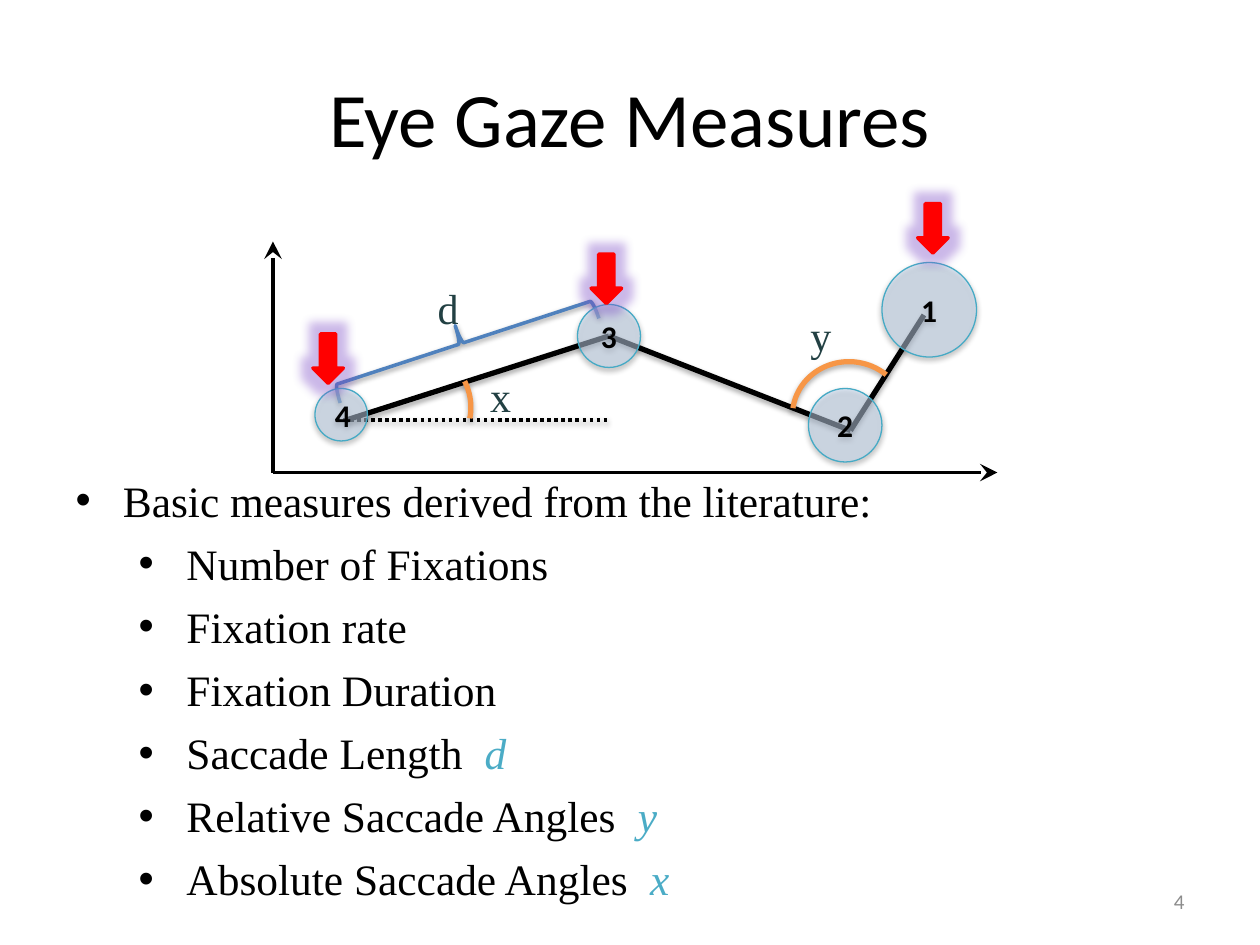
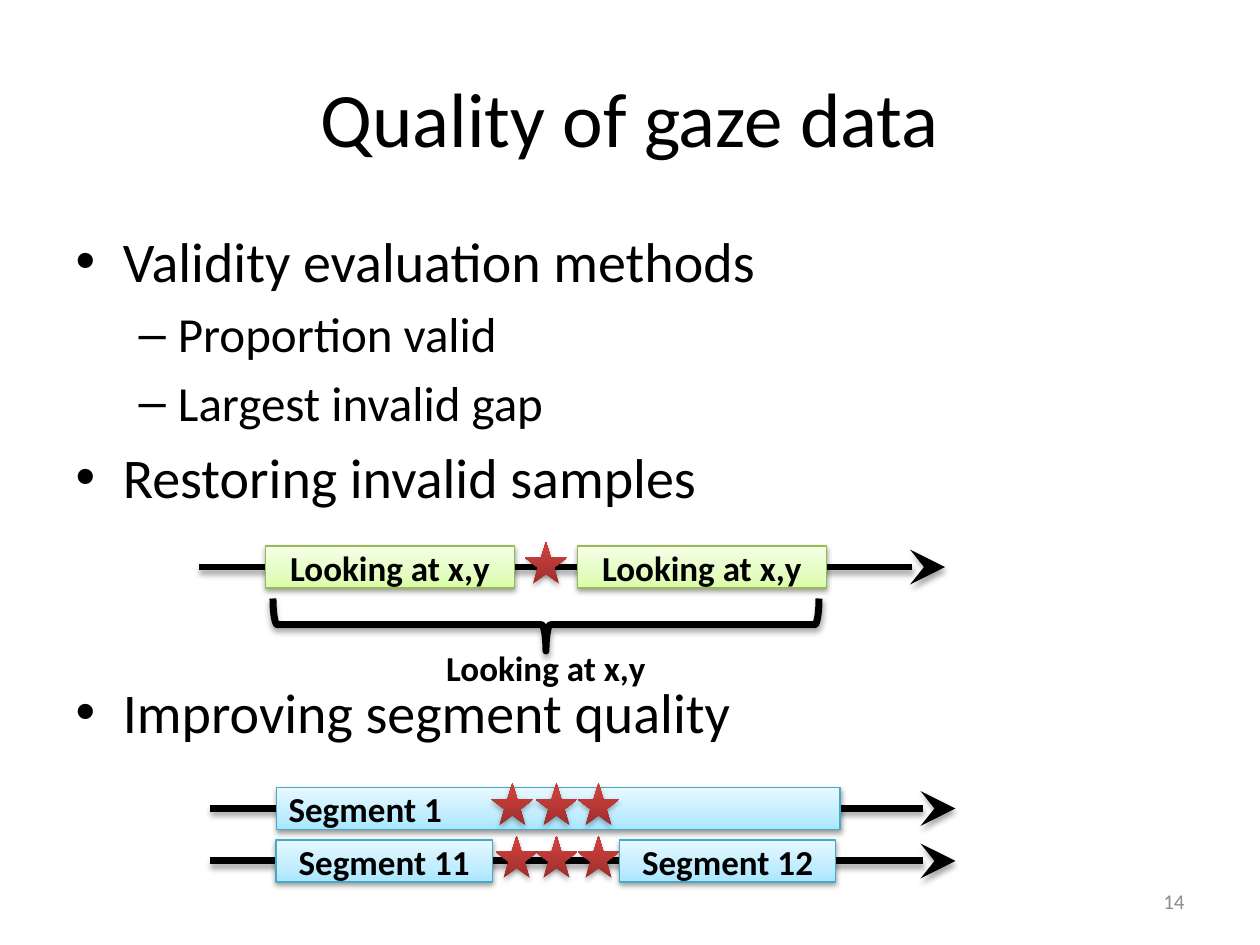
from itertools import pairwise

from lxml import etree
from pptx import Presentation
from pptx.dml.color import RGBColor
from pptx.enum.dml import MSO_LINE
from pptx.enum.shapes import MSO_CONNECTOR, MSO_SHAPE
from pptx.enum.text import MSO_ANCHOR, MSO_AUTO_SIZE, PP_ALIGN
from pptx.oxml.ns import qn
from pptx.util import Inches, Pt

STRAIGHT = MSO_CONNECTOR.STRAIGHT
DOTTED = MSO_LINE.ROUND_DOT
OVAL, ARC, STAR = MSO_SHAPE.OVAL, MSO_SHAPE.ARC, MSO_SHAPE.STAR_5_POINT
DOWN_ARROW, BAR = MSO_SHAPE.DOWN_ARROW, MSO_SHAPE.RECTANGLE
RIGHT_BRACE, LEFT_BRACE = MSO_SHAPE.RIGHT_BRACE, MSO_SHAPE.LEFT_BRACE
LEFT, CENTER, RIGHT = PP_ALIGN.LEFT, PP_ALIGN.CENTER, PP_ALIGN.RIGHT
MIDDLE, TOP = MSO_ANCHOR.MIDDLE, MSO_ANCHOR.TOP
NO_FIT = MSO_AUTO_SIZE.NONE

BLACK = RGBColor(0x00, 0x00, 0x00)
GRAY = RGBColor(0x8C, 0x8C, 0x8C)
RED = RGBColor(0xFF, 0x00, 0x00)
BLUE = RGBColor(0x4F, 0x81, 0xBD)
ORANGE = RGBColor(0xF7, 0x96, 0x46)
TEAL = RGBColor(0x4B, 0xAC, 0xC6)
TEAL_EDGE = RGBColor(0x46, 0xAA, 0xC5)
GREEN_EDGE = RGBColor(0x98, 0xB9, 0x55)
DARK_TEAL = RGBColor(0x22, 0x40, 0x43)
PALE_BLUE = RGBColor(0xC6, 0xD9, 0xF1)
PURPLE = RGBColor(0x7F, 0x4F, 0xC8)
GREEN_STOPS = ((0, RGBColor(0xDA, 0xFD, 0xA7)), (35, RGBColor(0xE4, 0xFC, 0xC2)),
               (100, RGBColor(0xF5, 0xFF, 0xE7)))
BLUE_STOPS = ((0, RGBColor(0xA7, 0xE6, 0xFF)), (35, RGBColor(0xC1, 0xED, 0xFF)),
              (100, RGBColor(0xE7, 0xF8, 0xFF)))
RED_STOPS = ((0, RGBColor(0x9C, 0x2F, 0x2D)), (80, RGBColor(0xCB, 0x3E, 0x3A)),
             (100, RGBColor(0xCE, 0x3B, 0x37)))

SANS, SERIF = "Calibri", "Times New Roman"
LABEL = {"name": SANS, "size": Pt(20), "bold": True}
FIXATION = {"name": SANS, "size": Pt(18), "bold": True}
SYMBOL = {"name": SERIF, "size": Pt(24)}
TITLE_BOX = (6, 3.6, 108, 15)
NUMBER_BOX = (86, 83.4, 28, 4.8)


def grid(*cells):
    """Turn cells of a 120 by 90 grid into lengths."""
    return [Inches(cell / 12) for cell in cells]


def within(box, left, top, width, height):
    """Shift a part into its region's box."""
    return box[0] + left, box[1] + top, width, height


def add_effect(shape, tag, color, opacity, **values):
    """Give a shape one effect, such as a shadow or a glow."""
    properties = shape._element.spPr
    effects = properties.find(qn("a:effectLst"))
    if effects is None:
        effects = etree.SubElement(properties, qn("a:effectLst"))
    effect = etree.SubElement(effects, qn(tag), {key: str(value) for key, value in values.items()})
    tint = etree.SubElement(effect, qn("a:srgbClr"), val=str(color))
    etree.SubElement(tint, qn("a:alpha"), val=str(opacity * 1000))


def add_shadow(shape, opacity=35, distance=23000):
    """Drop a soft shadow straight below a shape."""
    add_effect(shape, "a:outerShdw", BLACK, opacity, blurRad=40000, dist=distance,
               dir=5400000, rotWithShape=0)


def write(frame, text, font, color=BLACK, align=CENTER, before=None):
    """Write one formatted line of text."""
    paragraph = frame.paragraphs[0]
    paragraph.alignment = align
    if before:
        paragraph.space_before = before
    run = paragraph.add_run()
    run.text = text
    run.font.color.rgb = color
    for key, value in font.items():
        setattr(run.font, key, value)


def add_part(shapes, kind, box, fill=None, stops=None, edge=None, width=0.75, turn=0, adjust=()):
    """Add a preset shape with a plain, graded or empty fill."""
    shape = shapes.add_shape(kind, *grid(*box))
    shape.shadow.inherit = False
    shape.rotation = turn
    for index, value in enumerate(adjust):
        shape.adjustments[index] = value
    if stops:
        shape.fill.gradient()
        shape.fill.gradient_angle = 90
        stop_list = shape._element.spPr.find(".//" + qn("a:gsLst"))
        stop_list[:] = []
        for position, color in stops:
            stop = etree.SubElement(stop_list, qn("a:gs"), pos=str(position * 1000))
            etree.SubElement(stop, qn("a:srgbClr"), val=str(color))
    elif fill is not None:
        shape.fill.solid()
        shape.fill.fore_color.rgb = fill
    else:
        shape.fill.background()
    if edge is None:
        shape.line.fill.background()
    else:
        shape.line.color.rgb = edge
        shape.line.width = Pt(width)
    return shape


def add_line(shapes, start, end, width, arrow=False, shadow=True, dash=None):
    """Add a black straight line, with an arrowhead where asked."""
    line = shapes.add_connector(STRAIGHT, *grid(*start, *end))
    line.line.color.rgb = BLACK
    line.line.width = Pt(width)
    if dash:
        line.line.dash_style = dash
    if arrow:
        etree.SubElement(line.line._get_or_add_ln(), qn("a:tailEnd"), type="stealth", w="lg", len="lg")
    if shadow:
        add_shadow(line)
    else:
        etree.SubElement(line._element.spPr, qn("a:effectLst"))


def add_text(shapes, box, text, font, color=BLACK, align=CENTER, wrap=True, anchor=TOP):
    """Add a text box with one line."""
    frame = shapes.add_textbox(*grid(*box)).text_frame
    frame.word_wrap = wrap
    frame.vertical_anchor = anchor
    write(frame, text, font, color, align)


def place(placeholder, box, anchor):
    """Move a placeholder and return its text frame."""
    for key, value in zip(("left", "top", "width", "height"), grid(*box)):
        setattr(placeholder, key, value)
    frame = placeholder.text_frame
    frame.auto_size = NO_FIT
    frame.vertical_anchor = anchor
    return frame


def start_slide(presentation, title, number):
    """Add a slide with its title and page number."""
    slide = presentation.slides.add_slide(presentation.slide_layouts[1])
    write(place(slide.shapes.title, TITLE_BOX, MIDDLE), title, {"name": SANS, "size": Pt(44)})
    add_text(slide.shapes, NUMBER_BOX, number, {"name": SANS, "size": Pt(12)}, GRAY, RIGHT, anchor=MIDDLE)
    return slide


def bullet_list(slide, box, items, font, sizes):
    """Fill the body with (level, text, symbol, paragraph format) items."""
    frame = place(slide.placeholders[1], box, TOP)
    for index, (level, text, symbol, layout) in enumerate(items):
        paragraph = frame.add_paragraph() if index else frame.paragraphs[0]
        paragraph.level = level
        for key, value in layout.items():
            setattr(paragraph, key, value)
        for words, color in ((text, BLACK), (symbol, TEAL)):
            if words:
                run = paragraph.add_run()
                run.text = words
                run.font.name = font
                run.font.size = Pt(sizes[level])
                run.font.italic = color == TEAL
                run.font.color.rgb = color
    return frame


def dot_bullets(frame):
    """Give second-level items a round bullet and a wider indent."""
    for paragraph in frame.paragraphs:
        if paragraph.level:
            properties = paragraph._p.get_or_add_pPr()
            properties.set("marL", str(Inches(0.88)))
            properties.set("indent", str(-Inches(0.38)))
            etree.SubElement(properties, qn("a:buChar"), char="•")


def gaze_plot(slide, box):
    """Draw axes, fixations, saccades and their measures."""
    shapes = slide.shapes
    left, top, width, height = box
    add_shadow(add_part(shapes, RIGHT_BRACE, within(box, 16.36, -3.32, 3.6, 25.92), edge=BLUE, width=2,
                        turn=251.9, adjust=(0.08, 0.49)), 38, 20000)
    add_line(shapes, (left + 6, top + 17), (left + 32, top + 17), 2, dash=DOTTED)
    path = [(left + x, top + y) for x, y in ((7, 17), (32, 9), (55, 18), (62, 7))]
    for start, end in pairwise(path):
        add_line(shapes, start, end, 3)
    for text, x, y, size, before in (("4", 4, 14, 5, None), ("3", 29, 6, 6, Pt(6)),
                                     ("1", 58, 2, 9, Pt(6)), ("2", 51, 14, 7, Pt(6))):
        circle = add_part(shapes, OVAL, within(box, x, y, size, size), fill=PALE_BLUE, edge=TEAL_EDGE)
        tint = circle._element.spPr.find(qn("a:solidFill"))[0]
        etree.SubElement(tint, qn("a:alpha"), val="50000")
        add_shadow(circle, 38, 20000)
        circle.text_frame.vertical_anchor = MIDDLE
        write(circle.text_frame, text, FIXATION, before=before)
    origin = (left, top + height)
    for end in ((left, top), (left + width, top + height)):
        add_line(shapes, origin, end, 2, arrow=True, shadow=False)
    for x, y, turn, adjust in ((49.7, 11.2, 278.4, (162, 19.7)), (8.3, 10.1, 317.1, (10.49, 34.04))):
        add_shadow(add_part(shapes, ARC, within(box, x, y, 10.44, 10.92), edge=ORANGE, width=3,
                            turn=turn, adjust=adjust))
    for text, x, y in (("x", 19.5, 11.7), ("y", 50, 5.9), ("d", 14.5, 3.3)):
        add_text(shapes, within(box, x, y, 4.4, 6), text, SYMBOL, DARK_TEAL, LEFT, wrap=False)
    for x, y in ((61.4, -3.6), (3.8, 8.8), (30.3, 1.2)):
        pointer = add_part(shapes, DOWN_ARROW, within(box, x, y, 2.9, 4.7), fill=RED, edge=RED, width=2)
        add_effect(pointer, "a:glow", PURPLE, 40, rad=139700)


def timeline(slide, box, bars, stars, stops, edge):
    """Draw an arrow of time with labelled bars and starred gaps."""
    shapes = slide.shapes.add_group_shape().shapes
    left, top, width, height = box
    middle = top + height / 2
    add_line(shapes, (left, middle), (left + width, middle), 4, arrow=True)
    for text, x, length, align in bars:
        bar = add_part(shapes, BAR, within(box, x, 0, length, height), stops=stops, edge=edge)
        add_shadow(bar, 38, 20000)
        bar.text_frame.vertical_anchor = MIDDLE
        write(bar.text_frame, text, LABEL, align=align)
    for x in stars:
        add_shadow(add_part(shapes, STAR, within(box, x, -0.4, height, height), stops=RED_STOPS))


def brace_below(slide, box, text):
    """Draw a brace that points down at its label."""
    shapes = slide.shapes.add_group_shape().shapes
    left, top, width, height = box
    upright = ((width - height) / 2, (height - width) / 2, height, width)
    add_shadow(add_part(shapes, LEFT_BRACE, within(box, *upright), edge=BLACK, width=4, turn=270))
    add_text(shapes, (left + width / 4, top + height - 1, width / 2, 5.3), text, LABEL)


def measures_slide(presentation):
    """Build the slide on gaze measures."""
    slide = start_slide(presentation, "Eye Gaze Measures", "4")
    gaze_plot(slide, (26, 23, 69, 22))
    measures = (("Number of Fixations", ""), ("Fixation rate ", ""), ("Fixation Duration", ""),
                ("Saccade Length  ", "d"), ("Relative Saccade Angles  ", "y"),
                ("Absolute Saccade Angles  ", "x"))
    items = [(0, "Basic measures derived from the literature:", "", {"line_spacing": 0.8})]
    items += [(1, text, symbol, {"space_before": Pt(6.3)}) for text, symbol in measures]
    dot_bullets(bullet_list(slide, (6, 45.5, 108, 35.4), items, SERIF, (24.8, 24.8)))


def quality_slide(presentation):
    """Build the slide on data quality."""
    slide = start_slide(presentation, "Quality of gaze data", "14")
    items = ((0, "Validity evaluation methods", "", {}),
             (1, "Proportion valid", "", {}),
             (1, "Largest invalid gap", "", {}),
             (0, "Restoring invalid samples", "", {}),
             (0, "Improving segment quality", "", {"space_before": Pt(96)}))
    bullet_list(slide, (6, 21, 108, 59.4), items, SANS, (32, 28))
    looking = "Looking at x,y"
    timeline(slide, (19, 52, 71, 4), [(looking, x, 23.7, CENTER) for x in (6.3, 36)], (31,),
             GREEN_STOPS, GREEN_EDGE)
    brace_below(slide, (26, 57, 52, 5), looking)
    timeline(slide, (20, 75, 71, 4), [("Segment 1", 6.3, 53.7, LEFT)], (26.8, 31, 35),
             BLUE_STOPS, TEAL_EDGE)
    timeline(slide, (20, 80, 71, 4), [("Segment 11", 6.3, 20.6, CENTER), ("Segment 12", 39, 20.6, CENTER)],
             (27.2, 31, 35), BLUE_STOPS, TEAL_EDGE)


presentation = Presentation()
presentation.slide_width, presentation.slide_height = grid(120, 90)
measures_slide(presentation)
quality_slide(presentation)
presentation.save("out.pptx")
